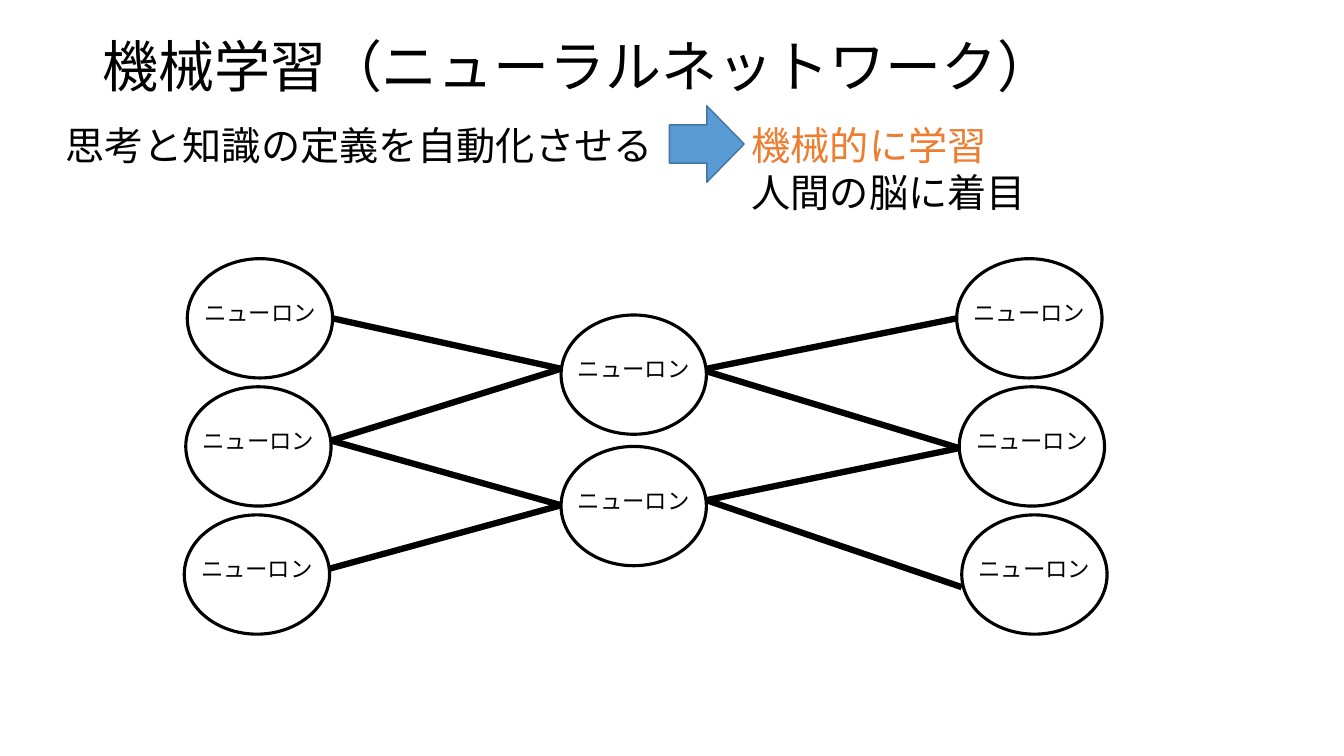
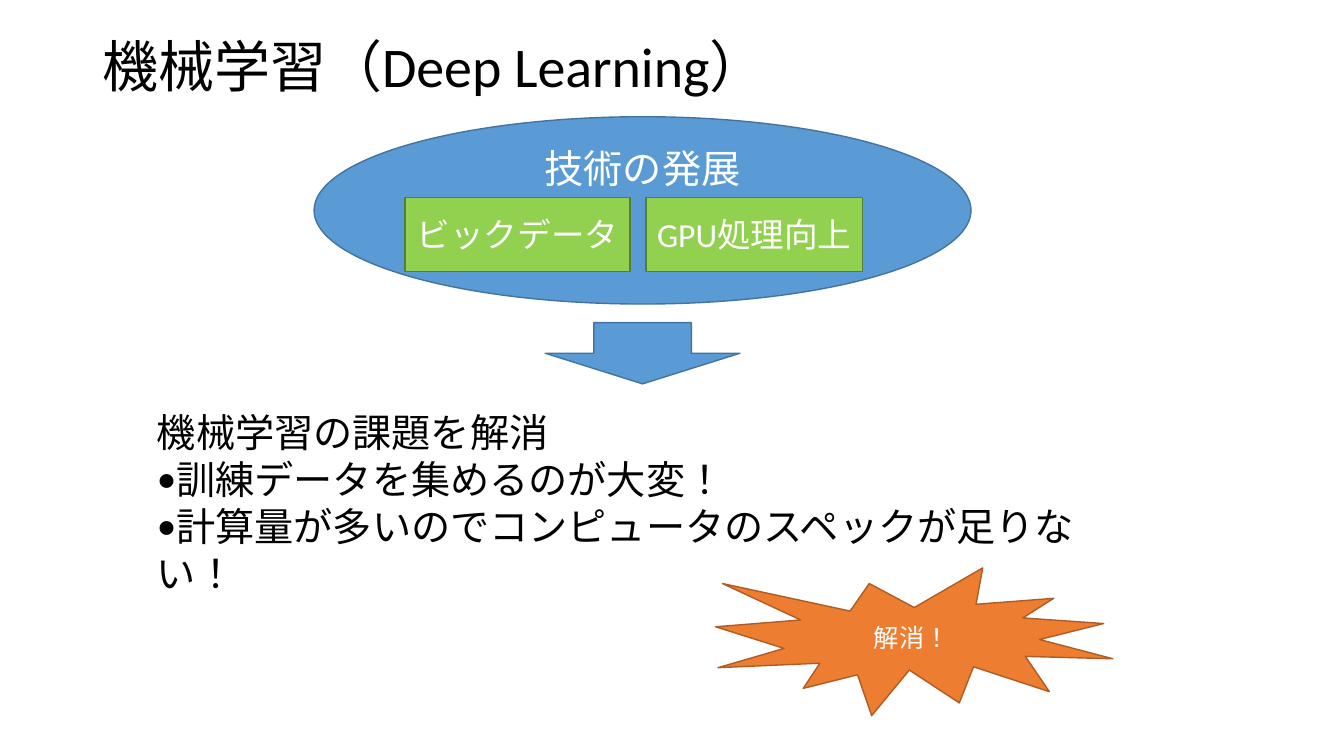
import dataclasses

import lxml.etree
import pptx
import pptx.dml.color
import pptx.enum.lang
import pptx.enum.shapes
import pptx.enum.text
import pptx.oxml.ns
import pptx.util

# Grid: 160 columns by 90 rows of square cells
COLUMNS, ROWS = 160, 90
CELL = pptx.util.Inches(7.5) // ROWS

FONT = "Calibri"
BLACK, WHITE = "000000", "FFFFFF"
BLUE, BLUE_EDGE = "5B9BD5", "43739E"
GREEN, GREEN_EDGE = "92D050", "538035"
ORANGE, ORANGE_EDGE = "ED7D31", "AF5C24"

SHAPE = pptx.enum.shapes.MSO_SHAPE
ALIGN = pptx.enum.text.PP_ALIGN
ANCHOR = pptx.enum.text.MSO_ANCHOR
JAPANESE = pptx.enum.lang.MSO_LANGUAGE_ID.JAPANESE


@dataclasses.dataclass(frozen=True)
class Box:
    left: float
    top: float
    width: float
    height: float

    def emu(self) -> list[int]:
        return [cells(n) for n in dataclasses.astuple(self)]


@dataclasses.dataclass(frozen=True)
class Layer:
    """A column of neurons; drift shifts each next neuron sideways."""
    left: float
    top: float
    step: float
    count: int
    drift: float = 0

    def neuron(self, row: int) -> Box:
        return Box(self.left + row * self.drift, self.top + row * self.step,
                   NEURON_WIDTH, NEURON_HEIGHT)


@dataclasses.dataclass(frozen=True)
class Synapse:
    """A link to the next layer; drops are measured from the neuron tops."""
    layer: int
    row: int
    next_row: int
    drop: float
    next_drop: float


NEURON_WIDTH, NEURON_HEIGHT = 17.3, 14.2
LAYERS = [
    Layer(22.3, 30.8, 15.25, 3, drift=-0.18),
    Layer(66.8, 37.5, 15.65, 2),
    Layer(113.9, 30.8, 15.25, 3, drift=0.3),
]
SYNAPSES = [
    Synapse(0, 0, 0, 7.1, 6.4),
    Synapse(0, 1, 0, 6.4, 6.4),
    Synapse(0, 1, 1, 6.4, 7),
    Synapse(0, 2, 1, 6.4, 7),
    Synapse(1, 0, 0, 6.4, 7.1),
    Synapse(1, 0, 1, 6.7, 7.3),
    Synapse(1, 1, 1, 6.4, 7.3),
    Synapse(1, 1, 2, 6.4, 8.6),
]


def cells(count: float) -> int:
    return round(count * CELL)


def rgb(value: str) -> pptx.dml.color.RGBColor:
    return pptx.dml.color.RGBColor.from_string(value)


def add_bullet(paragraph) -> None:
    properties = paragraph._p.get_or_add_pPr()
    properties.set("marL", "0")
    properties.set("indent", "0")
    lxml.etree.SubElement(properties, pptx.oxml.ns.qn("a:buFont"), typeface=FONT)
    lxml.etree.SubElement(properties, pptx.oxml.ns.qn("a:buChar"), char="•")


def write(shape, text: str, *, size: float, colors: tuple = (BLACK,),
          align=ALIGN.LEFT, anchor=ANCHOR.TOP, wrap: bool = True,
          spacing: float = 1.0, bullets_from: int | None = None) -> None:
    """Write one paragraph per line; the last colour serves the remaining lines."""
    frame = shape.text_frame
    frame.word_wrap = wrap
    frame.vertical_anchor = anchor
    for index, line in enumerate(text.split("\n")):
        paragraph = frame.add_paragraph() if index else frame.paragraphs[0]
        paragraph.alignment = align
        paragraph.line_spacing = spacing
        if bullets_from is not None and index >= bullets_from:
            add_bullet(paragraph)
        run = paragraph.add_run()
        run.text = line
        run.font.name = FONT
        run.font.language_id = JAPANESE
        run.font.size = pptx.util.Pt(size)
        run.font.color.rgb = rgb(colors[min(index, len(colors) - 1)])


def add_text(slide, box: Box, text: str, **style) -> None:
    write(slide.shapes.add_textbox(*box.emu()), text, **style)


def add_figure(slide, kind, box: Box, *, fill: str | None, edge: str,
               edge_width: float = 1):
    figure = slide.shapes.add_shape(kind, *box.emu())
    figure.shadow.inherit = False
    if fill is None:
        figure.fill.background()
    else:
        figure.fill.solid()
        figure.fill.fore_color.rgb = rgb(fill)
    figure.line.color.rgb = rgb(edge)
    figure.line.width = pptx.util.Pt(edge_width)
    return figure


def write_centred(figure, text: str, size: float, **style) -> None:
    write(figure, text, size=size, align=ALIGN.CENTER,
          **{"colors": (WHITE,), "anchor": ANCHOR.MIDDLE, **style})


def add_titled_slide(deck, title: str):
    slide = deck.slides.add_slide(deck.slide_layouts[6])
    add_text(slide, Box(11, 4.2, 138, 8.2), title, size=40,
             anchor=ANCHOR.MIDDLE, spacing=0.9)
    return slide


def add_neuron(slide, box: Box) -> None:
    neuron = add_figure(slide, SHAPE.OVAL, box, fill=None, edge=BLACK,
                        edge_width=2.25)
    write_centred(neuron, "ニューロン", 16, colors=(BLACK,), wrap=False)
    frame = neuron.text_frame
    frame.margin_left = frame.margin_right = frame.margin_top = 0
    frame.margin_bottom = cells(1.4)


def add_synapse(slide, synapse: Synapse) -> None:
    start = LAYERS[synapse.layer].neuron(synapse.row)
    end = LAYERS[synapse.layer + 1].neuron(synapse.next_row)
    line = slide.shapes.add_connector(
        pptx.enum.shapes.MSO_CONNECTOR.STRAIGHT,
        cells(start.left + start.width), cells(start.top + synapse.drop),
        cells(end.left), cells(end.top + synapse.next_drop))
    line.line.color.rgb = rgb(BLACK)
    line.line.width = pptx.util.Pt(4.5)
    lxml.etree.SubElement(line._element.spPr, pptx.oxml.ns.qn("a:effectLst"))


def build_neural_network(deck) -> None:
    slide = add_titled_slide(deck, "機械学習（ニューラルネットワーク）")

    # Idea and its consequence
    add_text(slide, Box(6.6, 13.8, 73, 6.8),
             "思考と知識の定義を自動化させる", size=28)
    add_figure(slide, SHAPE.RIGHT_ARROW, Box(79.7, 12.6, 8.9, 9.1),
               fill=BLUE, edge=BLUE_EDGE)
    add_text(slide, Box(88.3, 13.8, 38.5, 12.5),
             "機械的に学習\n人間の脳に着目", size=28, colors=(ORANGE, BLACK))

    # Network
    for layer in LAYERS:
        for row in range(layer.count):
            add_neuron(slide, layer.neuron(row))
    for synapse in SYNAPSES:
        add_synapse(slide, synapse)


def build_deep_learning(deck) -> None:
    slide = add_titled_slide(deck, "機械学習（Deep Learning）")

    # Technical progress and its two drivers
    progress = add_figure(slide, SHAPE.FLOWCHART_CONNECTOR,
                          Box(37.4, 13.9, 78.2, 22.3), fill=BLUE, edge=BLUE_EDGE)
    write_centred(progress, "技術の発展", 28, anchor=ANCHOR.TOP)
    progress.text_frame.margin_top = 0
    for left, width, name in ((48.2, 26.8, "ビックデータ"),
                              (76.9, 25.8, "GPU処理向上")):
        driver = add_figure(slide, SHAPE.RECTANGLE, Box(left, 23.5, width, 8.8),
                            fill=GREEN, edge=GREEN_EDGE)
        write_centred(driver, name, 24)

    # Problems that are solved
    add_text(slide, Box(17.5, 48, 115.1, 18.1),
             "機械学習の課題を解消\n"
             "訓練データを集めるのが大変！\n"
             "計算量が多いのでコンピュータのスペックが足りない！",
             size=28, bullets_from=1)
    add_figure(slide, SHAPE.DOWN_ARROW, Box(64.9, 38.4, 23.2, 7.3),
               fill=BLUE, edge=BLUE_EDGE)
    solved = add_figure(slide, SHAPE.EXPLOSION1, Box(85.2, 67.6, 47.3, 17.6),
                        fill=ORANGE, edge=ORANGE_EDGE)
    write_centred(solved, "解消！", 18)


def main() -> None:
    deck = pptx.Presentation()
    deck.slide_width, deck.slide_height = cells(COLUMNS), cells(ROWS)
    build_neural_network(deck)
    build_deep_learning(deck)
    deck.save("out.pptx")


if __name__ == "__main__":
    main()
